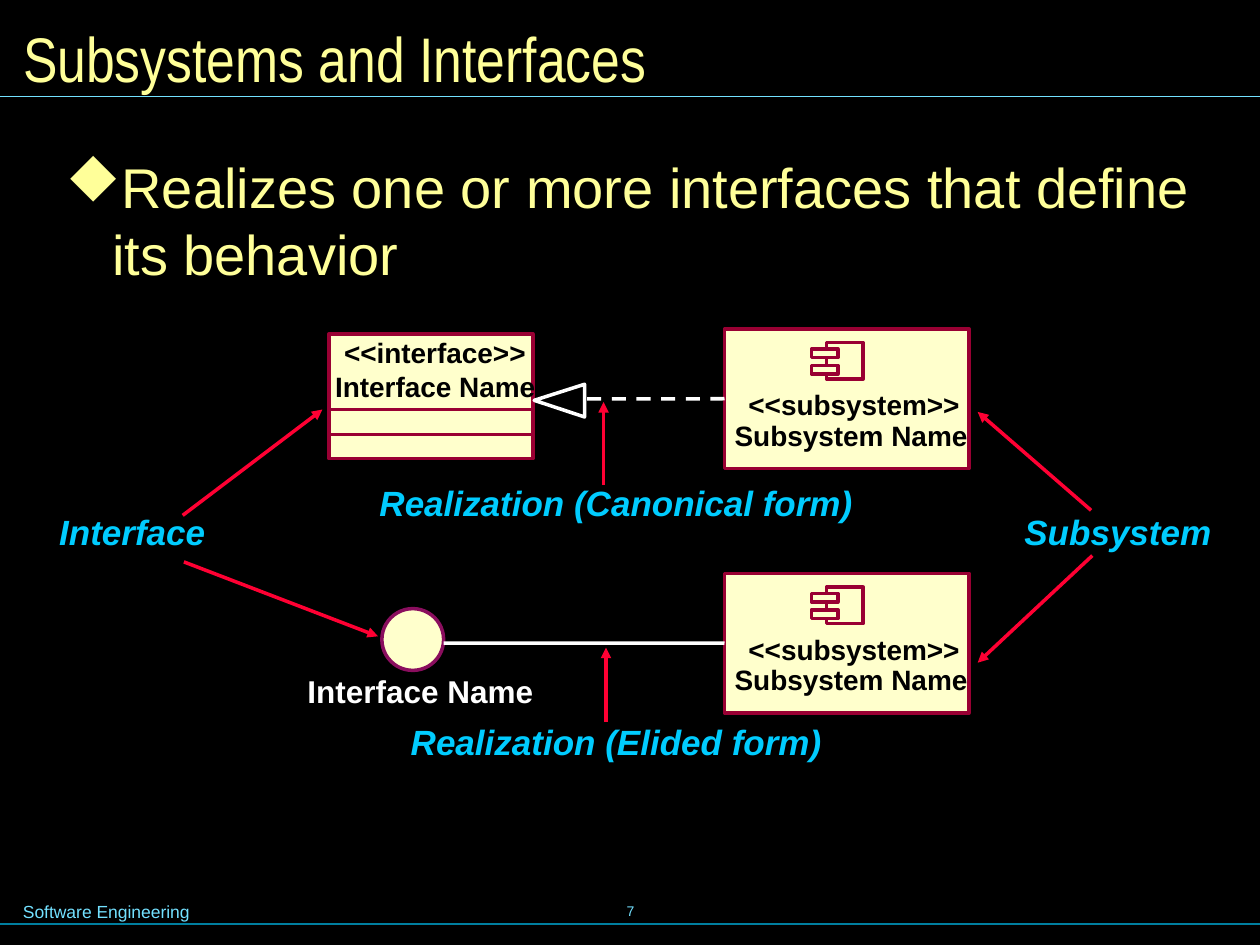
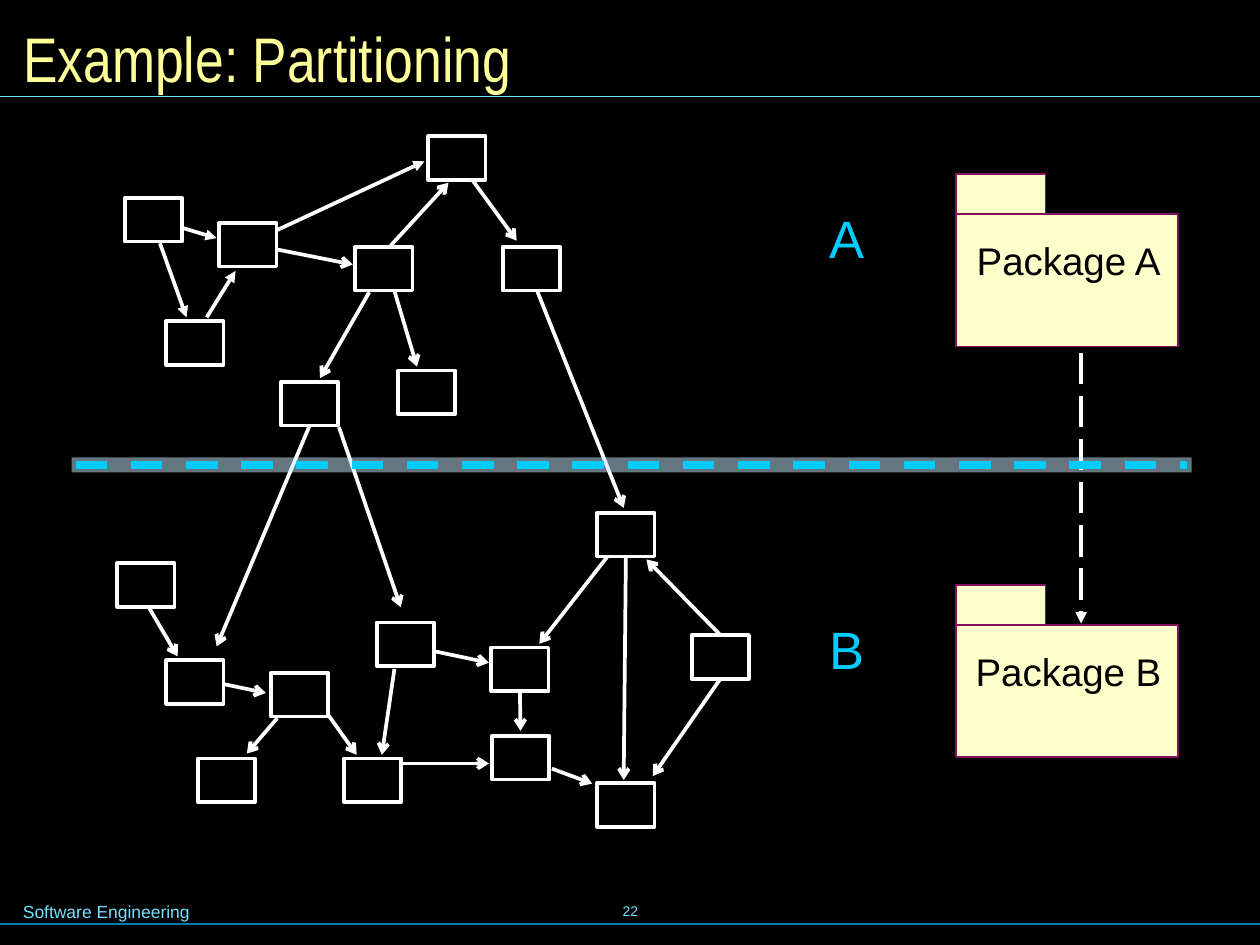
from lxml import etree
from pptx import Presentation
from pptx.dml.color import RGBColor
from pptx.enum.dml import MSO_LINE
from pptx.enum.shapes import MSO_CONNECTOR, MSO_SHAPE
from pptx.enum.text import MSO_ANCHOR, MSO_AUTO_SIZE, PP_ALIGN
from pptx.oxml.ns import qn
from pptx.util import Pt

STRAIGHT = MSO_CONNECTOR.STRAIGHT
RECT, OVAL = MSO_SHAPE.RECTANGLE, MSO_SHAPE.OVAL
DASH, LONG_DASH = MSO_LINE.DASH, MSO_LINE.LONG_DASH
LEFT, CENTER, RIGHT = PP_ALIGN.LEFT, PP_ALIGN.CENTER, PP_ALIGN.RIGHT
TOP, MIDDLE = MSO_ANCHOR.TOP, MSO_ANCHOR.MIDDLE
SIDE_TOP, SIDE_LEFT, SIDE_BOTTOM = 0, 1, 2

BLACK = RGBColor(0x00, 0x00, 0x00)
WHITE = RGBColor(0xFF, 0xFF, 0xFF)
YELLOW = RGBColor(0xFF, 0xFF, 0x99)
CREAM = RGBColor(0xFF, 0xFF, 0xCC)
CRIMSON = RGBColor(0x99, 0x00, 0x33)
PLUM = RGBColor(0x8A, 0x0E, 0x5E)
RED = RGBColor(0xFF, 0x00, 0x33)
CYAN = RGBColor(0x00, 0xCC, 0xFF)
SKY = RGBColor(0x73, 0xE1, 0xFF)
TEAL = RGBColor(0x00, 0x7E, 0x9F)
MIST = RGBColor(0xCC, 0xEC, 0xFF)


def write(slide, text, x, y, w, h, *, size, color, font="Arial", bold=False,
          italic=False, align=LEFT, anchor=TOP, inset=(0, 0), wrap=False, holder=None):
    """Place text in a new text box, or in the given holder."""
    holder = holder or slide.shapes.add_textbox(0, 0, 0, 0)
    holder.left, holder.top, holder.width, holder.height = Pt(x), Pt(y), Pt(w), Pt(h)
    frame = holder.text_frame
    frame.auto_size = MSO_AUTO_SIZE.NONE
    frame.word_wrap = wrap
    frame.vertical_anchor = anchor
    frame.margin_left = frame.margin_right = Pt(inset[0])
    frame.margin_top = frame.margin_bottom = Pt(inset[1])
    paragraph = frame.paragraphs[0]
    paragraph.alignment = align
    run = paragraph.add_run()
    run.text = text
    run.font.name, run.font.size = font, Pt(size)
    run.font.bold, run.font.italic = bold, italic
    run.font.color.rgb = color
    return paragraph


def draw_line(slide, start, end, color, width, *, head=None, dash=None, joined=None):
    """Draw a line; joined is the (shape, side) it starts from."""
    line = slide.shapes.add_connector(STRAIGHT, *[Pt(v) for v in (*start, *end)])
    if joined:
        line.begin_connect(*joined)
    line.line.color.rgb = color
    line.line.width = Pt(width)
    if dash:
        line.line.dash_style = dash
    if head:
        etree.SubElement(line.line._get_or_add_ln(), qn("a:tailEnd"), type=head)
    etree.SubElement(line._element.spPr, qn("a:effectLst"))


prs = Presentation()
prs.slide_width, prs.slide_height = Pt(720), Pt(540)
background = prs.slide_master.background.fill
background.solid()
background.fore_color.rgb = BLACK

# Title, rules and footer of every slide
for title, number in [("Subsystems and Interfaces", "7"), ("Example: Partitioning", "22")]:
    slide = prs.slides.add_slide(prs.slide_layouts[5])
    write(slide, number, 246.2, 502.6, 228.2, 36, size=8, color=SKY,
          align=CENTER, anchor=MIDDLE, inset=(7.2, 3.6))
    draw_line(slide, (0, 528), (720, 528), TEAL, 0.75)
    draw_line(slide, (0, 55), (720, 55), SKY, 0.75)
    write(slide, "Software Engineering", 6, 511.2, 212.4, 19.4, size=10, color=SKY,
          inset=(7.2, 3.6), wrap=True)
    write(slide, title, 6, 6, 708.5, 54, size=36, color=YELLOW, font="Arial Narrow",
          anchor=MIDDLE, inset=(7.2, 3.6), wrap=True, holder=slide.shapes.title)

interfaces, partitioning = prs.slides

# Slide 1: bullet, a diamond in the symbol font
bullet = write(interfaces, "Realizes one or more interfaces that define its behavior",
               28.8, 82.8, 668.9, 397.4, size=32, color=YELLOW,
               inset=(8.64, 4.32), wrap=True)
bullet.space_before = Pt(4)
properties = bullet._p.get_or_add_pPr()
properties.set("marL", str(Pt(26.6)))
properties.set("indent", str(-Pt(26.6)))
bullet_color = etree.SubElement(properties, qn("a:buClr"))
etree.SubElement(bullet_color, qn("a:srgbClr"), val=str(YELLOW))
etree.SubElement(properties, qn("a:buFont"), typeface="Wingdings", charset="2")
etree.SubElement(properties, qn("a:buChar"), char="u")

# Slide 1: subsystem boxes with their component icons, interface box and circle
SUBSYSTEM_TOPS = (187.9, 327.6)
outlines = [(RECT, 187.9, 190.8, 116.6, 71.3, CRIMSON),
            (OVAL, 218.2, 347.8, 35.3, 35.3, PLUM)]
for top in SUBSYSTEM_TOPS:
    outlines += [(RECT, 414, top, 139.7, 79.9, CRIMSON),
                 (RECT, 472.3, top + 7.9, 20.9, 20.9, CRIMSON),
                 (RECT, 463.7, top + 20.9, 15.1, 5, CRIMSON),
                 (RECT, 463.7, top + 11.5, 15.1, 5, CRIMSON)]
symbols = []
for kind, x, y, w, h, edge in outlines:
    symbol = interfaces.shapes.add_shape(kind, Pt(x), Pt(y), Pt(w), Pt(h))
    symbol.shadow.inherit = False
    symbol.fill.solid()
    symbol.fill.fore_color.rgb = CREAM
    symbol.line.color.rgb = edge
    symbol.line.width = Pt(2)
    symbols.append(symbol)
canonical_subsystem, elided_subsystem = symbols[2], symbols[6]

for y in (234, 248.4):
    draw_line(interfaces, (187.9, y), (304.6, y), CRIMSON, 2)

# Slide 1: both forms of realization
draw_line(interfaces, (414, 228), (334.8, 228), WHITE, 2, dash=DASH,
          joined=(canonical_subsystem, SIDE_LEFT))
draw_line(interfaces, (414, 367.5), (253.5, 367.5), WHITE, 2,
          joined=(elided_subsystem, SIDE_LEFT))
builder = interfaces.shapes.build_freeform(Pt(305.3), Pt(228.8))
builder.add_line_segments([(Pt(334.1), Pt(238.3)), (Pt(334.1), Pt(219.6))], close=True)
realization_tip = builder.convert_to_shape()
realization_tip.shadow.inherit = False
realization_tip.fill.background()
realization_tip.line.color.rgb = WHITE
realization_tip.line.width = Pt(2)

# Slide 1: names in the symbols
names = [("<<interface>>", 196.6, 191.5, 103.7, 16, BLACK),
         ("Interface Name", 191.5, 211, 114.5, 16, BLACK),
         ("Interface Name", 175.7, 383.8, 128.9, 18, WHITE)]
for top in SUBSYSTEM_TOPS:
    names += [("<<subsystem>>", 427.7, top + 33.8, 121, 16, BLACK),
              ("Subsystem Name", 419.8, top + 51.1, 137.5, 16, BLACK)]
for name, x, y, w, size, color in names:
    write(interfaces, name, x, y, w, 20, size=size, color=color, bold=True)

# Slide 1: callouts and their arrows
for callout, x, y, w, align in [
    ("Subsystem", 576.7, 287.3, 143.3, LEFT),
    ("Interface", 25.2, 287.3, 110.9, LEFT),
    ("Realization (Canonical form)", 193.7, 270.7, 302.4, RIGHT),
    ("Realization (Elided form)", 226.1, 407.5, 298.1, LEFT),
]:
    write(interfaces, callout, x, y, w, 32.4, size=20, color=CYAN, bold=True, italic=True,
          align=align, inset=(8.64, 4.32), wrap=True)
for start, end in [
    ((104.4, 294.5), (184.3, 234)), ((105.1, 321.1), (216, 363.6)),
    ((623.5, 291.6), (558.7, 235.4)), ((624.2, 317.5), (558.7, 378.7)),
    ((344.9, 277.2), (344.9, 229.7)), ((346.3, 412.6), (346.3, 370.1)),
]:
    draw_line(interfaces, start, end, RED, 2, head="triangle")

# Slide 2: classes
classes = []
for x, y in [
    (71.3, 113), (95, 183.6), (244.8, 77.8), (125.3, 127.4), (227.5, 211.7),
    (203, 141.1), (67, 321.8), (160.6, 218.2), (95, 377.3), (113, 433.4),
    (154.8, 384.5), (215.3, 355.7), (287.3, 141.1), (395.3, 362.9), (341.3, 293),
    (280.8, 370.1), (196.6, 433.4), (281.2, 420.5), (341.3, 447.5),
]:
    class_box = partitioning.shapes.add_shape(RECT, Pt(x), Pt(y), Pt(32.7), Pt(25))
    class_box.shadow.inherit = False
    class_box.fill.background()
    class_box.line.color.rgb = WHITE
    class_box.line.width = Pt(2.13)
    classes.append(class_box)

# Slide 2: dependencies between classes
for head, dependencies in {
    "triangle": [
        (91.4, 139, 106.6, 181.4), (104.4, 130.3, 123.8, 136.1),
        (118.1, 181.4, 134.6, 154.8), (157.7, 131.8, 242.6, 92.2),
    ],
    "arrow": [
        (223.2, 140.4, 256.3, 104.4), (158.4, 142.6, 201.6, 151.2),
        (225.4, 166.3, 238.3, 209.5), (211, 167, 182.9, 216),
        (85, 347, 101.5, 375.1), (128.2, 391, 151.9, 396),
        (158.4, 410.4, 141.1, 430.6), (193.7, 244.1, 229, 347),
        (270, 103, 295.2, 137.5), (306.7, 165.6, 356.4, 290.2),
        (248.4, 372.2, 279.4, 378.7), (347, 318.2, 308.2, 367.9),
        (187.9, 409, 203.8, 431.3), (225.4, 382.3, 218.2, 431.3),
        (229.7, 436.3, 279.4, 436.3), (315.4, 439.2, 338.4, 447.8),
    ],
}.items():
    for x1, y1, x2, y2 in dependencies:
        draw_line(partitioning, (x1, y1), (x2, y2), WHITE, 2.13, head=head)

# Slide 2: dependencies that leave a class at the middle of a side
for index, side, end in [
    (7, SIDE_BOTTOM, (123.8, 369.4)), (13, SIDE_TOP, (369.4, 319.7)),
    (13, SIDE_BOTTOM, (373, 443.5)), (14, SIDE_BOTTOM, (356.4, 445.7)),
    (15, SIDE_BOTTOM, (297.4, 417.6)),
]:
    draw_line(partitioning, end, end, WHITE, 2.13, head="arrow",
              joined=(classes[index], side))

# Slide 2: packages, each a body with a tab
for letter, top in [("A", 99.4), ("B", 334.1)]:
    write(partitioning, letter, 474.1, top + 18.4, 20.2, 36, size=30, color=CYAN)
    for y, w, h in [(top + 23, 126.7, 75.6), (top, 51.1, 23)]:
        part = partitioning.shapes.add_shape(RECT, Pt(546.3), Pt(y), Pt(w), Pt(h))
        part.shadow.inherit = False
        part.fill.solid()
        part.fill.fore_color.rgb = CREAM
        part.line.color.rgb = PLUM
        part.line.width = Pt(1)
    write(partitioning, f"Package {letter}", 557.3, top + 36, 106.6, 26.6,
          size=22, color=BLACK, align=CENTER)
draw_line(partitioning, (617.8, 201.6), (617.8, 356.4), WHITE, 2.25,
          head="triangle", dash=LONG_DASH)

# Slide 2: partition band
band = partitioning.shapes.add_shape(RECT, Pt(41), Pt(261.4), Pt(640), Pt(8.6))
band.shadow.inherit = False
band.fill.solid()
band.fill.fore_color.rgb = MIST
band.line.fill.background()
tint = band._element.spPr.find(qn("a:solidFill"))[0]
etree.SubElement(tint, qn("a:alpha"), val="50000")
draw_line(partitioning, (43.2, 265.7), (678.2, 265.7), CYAN, 4.5, dash=DASH)

prs.save("out.pptx")
